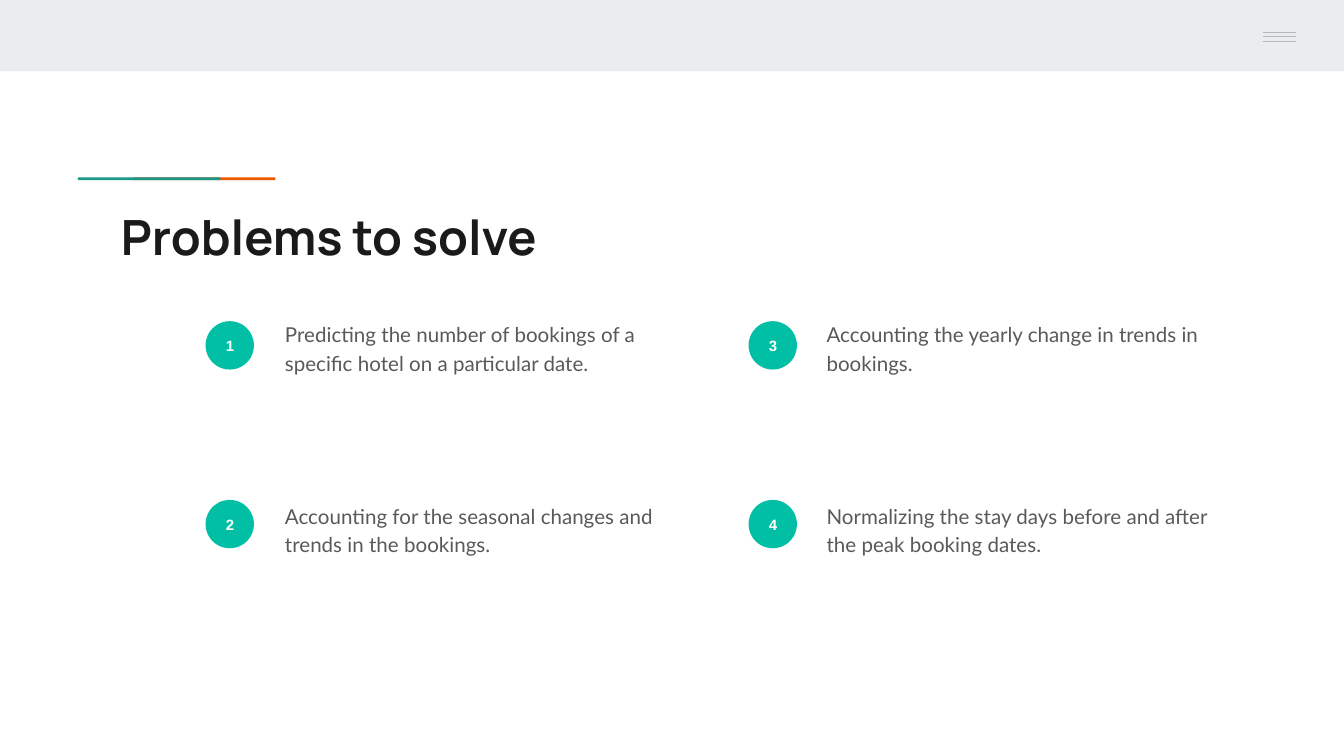
from lxml.etree import SubElement
from pptx import Presentation
from pptx.dml.color import RGBColor
from pptx.enum.shapes import MSO_CONNECTOR, MSO_SHAPE
from pptx.enum.text import MSO_ANCHOR, MSO_AUTO_SIZE, PP_ALIGN
from pptx.oxml.ns import qn
from pptx.util import Inches, Pt

BAND = RGBColor(0xE9, 0xED, 0xEE)
ORANGE = RGBColor(0xEB, 0x56, 0x00)
GREEN = RGBColor(0x1A, 0x99, 0x88)
TEAL = RGBColor(0x00, 0xBF, 0xA5)
MENU_GRAY = RGBColor(0xB7, 0xB7, 0xB7)
INK = RGBColor(0x1A, 0x1A, 0x1A)
BODY_GRAY = RGBColor(0x59, 0x59, 0x59)
WHITE = RGBColor(0xFF, 0xFF, 0xFF)

PROBLEMS = [
    "Predicting the number of bookings of a specific hotel on a particular date.",
    "Accounting for the seasonal changes and trends in the bookings.",
    "Accounting the yearly change in trends in bookings.",
    "Normalizing the stay days before and after the peak booking dates.",
]
ROWS = 2
BADGE_LEFTS = (1.53, 5.57)
TEXT_LEFTS = (2.02, 6.05)


def write_text(shape, text, *, font, size, color, bold=False, align=PP_ALIGN.LEFT,
               anchor=MSO_ANCHOR.TOP, line_spacing=1.0, space_after=0):
    tf = shape.text_frame
    tf.word_wrap = True
    tf.auto_size = MSO_AUTO_SIZE.NONE
    tf.vertical_anchor = anchor
    tf.margin_left = tf.margin_right = tf.margin_top = tf.margin_bottom = Inches(0.1)
    p = tf.paragraphs[0]
    pPr = p._p.get_or_add_pPr()
    pPr.set("marL", "0")
    pPr.set("indent", "0")
    SubElement(pPr, qn("a:buNone"))
    p.alignment = align
    p.line_spacing = line_spacing
    p.space_before = Pt(0)
    p.space_after = Pt(space_after)
    r = p.add_run()
    r.text = text
    r.font.name = font
    r.font.size = Pt(size)
    r.font.bold = bold
    r.font.color.rgb = color


class ProblemSlide:
    """Holds the slide and its shared text style."""

    title_style = dict(font="Manrope", size=26, color=INK, bold=True)
    body_style = dict(font="Lato", size=11, color=BODY_GRAY, line_spacing=1.15,
                      space_after=16)
    badge_style = dict(font="Arial", size=8, color=WHITE, bold=True,
                       align=PP_ALIGN.CENTER, anchor=MSO_ANCHOR.MIDDLE)

    def __init__(self, prs):
        comparison = prs.slide_layouts[4]
        self.s = prs.slides.add_slide(comparison)
        self.bodies = [ph for ph in self.s.placeholders
                       if 1 <= ph.placeholder_format.idx <= len(PROBLEMS)]

    def shape(self, kind, x, y, w, h, fill):
        sp = self.s.shapes.add_shape(kind, Inches(x), Inches(y), Inches(w), Inches(h))
        sp.shadow.inherit = False
        sp.fill.solid()
        sp.fill.fore_color.rgb = fill
        sp.line.fill.background()
        return sp

    def rectangle(self, x, y, w, h, fill):
        return self.shape(MSO_SHAPE.RECTANGLE, x, y, w, h, fill)

    def line(self, x1, y1, x2, y2):
        c = self.s.shapes.add_connector(MSO_CONNECTOR.STRAIGHT, Inches(x1), Inches(y1),
                                        Inches(x2), Inches(y2))
        c.line.color.rgb = MENU_GRAY
        c.line.width = Pt(0.75)
        SubElement(c._element.spPr, qn("a:effectLst"))

    def placeholder(self, ph, x, y, w, h, text, style):
        ph.left, ph.top, ph.width, ph.height = map(Inches, (x, y, w, h))
        write_text(ph, text, **style)

    def title(self, text):
        self.placeholder(self.s.shapes.title, 0.8, 1.44, 8.41, 0.59, text,
                         self.title_style)

    def problem(self, index, text):
        column, row = divmod(index, ROWS)
        badge = self.shape(MSO_SHAPE.OVAL, BADGE_LEFTS[column], 2.39 + row * 1.33,
                           0.36, 0.36, TEAL)
        write_text(badge, str(index + 1), **self.badge_style)
        self.placeholder(self.bodies[index], TEXT_LEFTS[column], 2.27 + row * 1.35,
                         3.1, 1.15, text, self.body_style)


def main():
    prs = Presentation()
    prs.slide_width = Inches(10)
    prs.slide_height = prs.slide_width * 9 // 16
    slide = ProblemSlide(prs)

    slide.rectangle(0, 0, 10, 0.53, BAND)
    for x, color in ((0.99, ORANGE), (0.58, GREEN)):
        slide.rectangle(x, 1.32, 1.06, 0.02, color)
    slide.rectangle(9.06, 0, 0.94, 0.5, BAND)
    for y in (0.24, 0.27, 0.31):
        slide.line(9.4, y, 9.64, y)

    slide.title("Problems to solve")
    for index, text in enumerate(PROBLEMS):
        slide.problem(index, text)

    prs.save("out.pptx")


if __name__ == "__main__":
    main()
